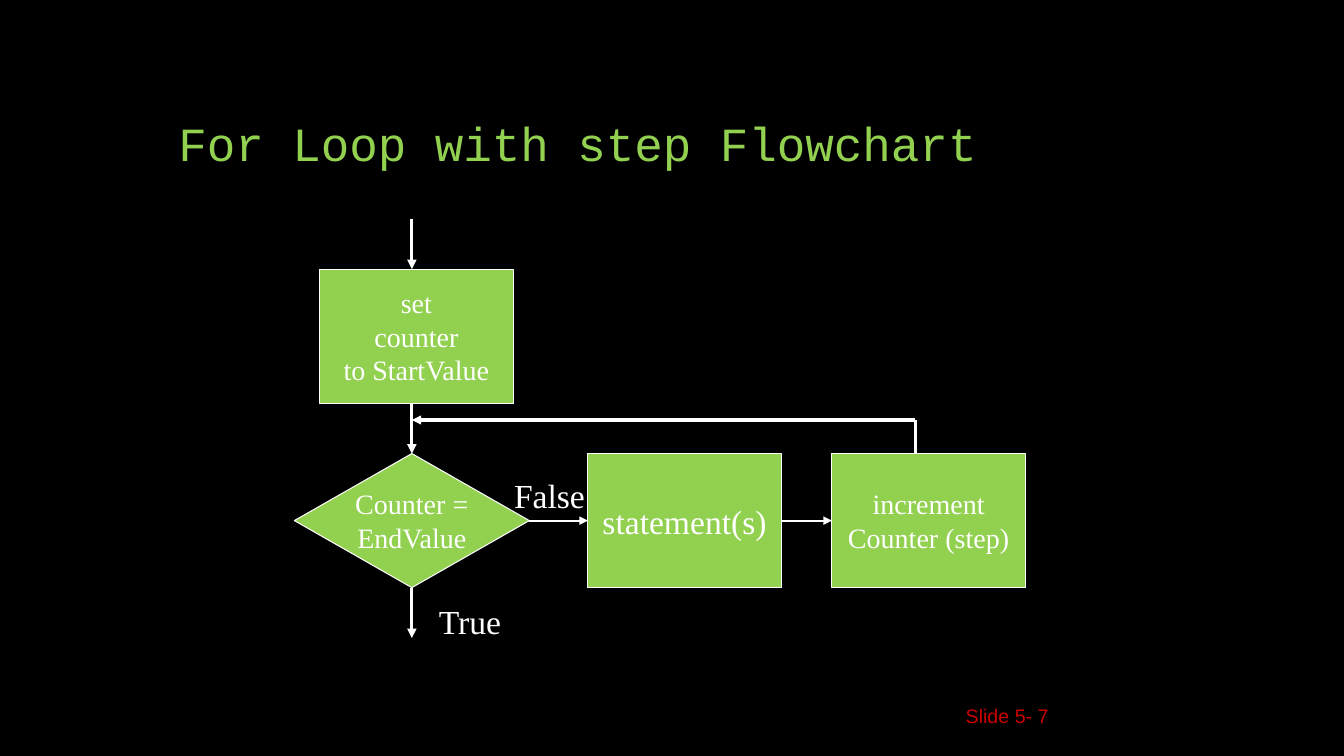
from dataclasses import dataclass

from lxml import etree
from pptx import Presentation
from pptx.dml.color import RGBColor
from pptx.enum.shapes import MSO_CONNECTOR, MSO_SHAPE
from pptx.enum.text import MSO_ANCHOR, MSO_AUTO_SIZE, PP_ALIGN
from pptx.oxml.ns import qn
from pptx.util import Inches, Pt

STRAIGHT = MSO_CONNECTOR.STRAIGHT
PROCESS = MSO_SHAPE.FLOWCHART_PROCESS
DECISION = MSO_SHAPE.FLOWCHART_DECISION
LEFT, CENTER, RIGHT = PP_ALIGN.LEFT, PP_ALIGN.CENTER, PP_ALIGN.RIGHT
TOP, MIDDLE, BOTTOM = MSO_ANCHOR.TOP, MSO_ANCHOR.MIDDLE, MSO_ANCHOR.BOTTOM
GROW = MSO_AUTO_SIZE.SHAPE_TO_FIT_TEXT


@dataclass(frozen=True)
class Theme:
    """Colours, fonts and type sizes of the slide."""
    background: RGBColor = RGBColor(0x00, 0x00, 0x00)
    green: RGBColor = RGBColor(0x92, 0xD0, 0x50)
    white: RGBColor = RGBColor(0xFF, 0xFF, 0xFF)
    red: RGBColor = RGBColor(0xCC, 0x00, 0x00)
    title_font: str = "Courier New"
    chart_font: str = "Times New Roman"
    footer_font: str = "Arial"
    title_size: int = 34
    label_size: int = 24
    step_size: int = 20
    footer_size: int = 14
    outline: float = 0.75
    thin: float = 1.5
    thick: float = 2.25


THEME = Theme()


def write(shape, lines, font, size, color, align=LEFT, anchor=TOP, wrap=False):
    """Fill a shape with one paragraph per line of text."""
    frame = shape.text_frame
    frame.word_wrap = wrap
    frame.vertical_anchor = anchor
    frame.text = "\n".join(lines)
    for paragraph in frame.paragraphs:
        paragraph.alignment = align
        paragraph.font.name = font
        paragraph.font.size = Pt(size)
        paragraph.font.color.rgb = color


def add_text(slide, box, text, font, size, color, **layout):
    """Add a text box at the given box and return it."""
    label = slide.shapes.add_textbox(*map(Inches, box))
    write(label, [text], font, size, color, **layout)
    return label


def add_step(slide, kind, box, lines, size=THEME.step_size):
    """Add a green flowchart step with centred text."""
    step = slide.shapes.add_shape(kind, *map(Inches, box))
    step.shadow.inherit = False
    step.fill.solid()
    step.fill.fore_color.rgb = THEME.green
    step.line.color.rgb = THEME.white
    step.line.width = Pt(THEME.outline)
    write(step, lines, THEME.chart_font, size, THEME.white, CENTER, MIDDLE)


def add_flow(slide, start, end, width=THEME.thick, arrow=True):
    """Add a white flow line, with an arrowhead at its end if wanted."""
    flow = slide.shapes.add_connector(STRAIGHT, *map(Inches, (*start, *end)))
    flow.line.color.rgb = THEME.white
    flow.line.width = Pt(width)
    if arrow:
        etree.SubElement(flow.line._get_or_add_ln(), qn("a:tailEnd"), type="triangle")
    etree.SubElement(flow._element.spPr, qn("a:effectLst"))


def add_title(slide, box):
    """Add the slide title at the bottom of its box."""
    title = add_text(slide, box, "For Loop with step Flowchart", THEME.title_font,
                     THEME.title_size, THEME.green, anchor=BOTTOM, wrap=True)
    title.text_frame.paragraphs[0].line_spacing = 0.9


def add_footer(slide, box):
    """Add the slide number."""
    add_text(slide, box, "Slide 5- 7", THEME.footer_font, THEME.footer_size,
             THEME.red, align=RIGHT, anchor=MIDDLE)


def add_flowchart(slide, box):
    """Draw the loop flowchart inside the given box."""
    left, top, width, height = box
    step_w, step_h, gap = 1.92, 1.33, 0.5
    test_w = 2.33
    axis = left + test_w / 2
    right, bottom = left + width, top + height
    start_top = top + gap
    start_bottom = start_top + step_h
    row_top = start_bottom + gap
    row_bottom = row_top + step_h
    row_middle = row_top + step_h / 2
    return_y = start_bottom + gap / 3
    increment_x = right - step_w
    body_x = increment_x - gap - step_w
    return_x = right - 1.09

    add_step(slide, PROCESS, (left + 0.25, start_top, step_w, step_h),
             ["set", "counter", "to StartValue"])
    add_step(slide, DECISION, (left, row_top, test_w, step_h),
             ["Counter =", "EndValue"])
    add_step(slide, PROCESS, (body_x, row_top, step_w, step_h),
             ["statement(s)"], THEME.label_size)
    add_step(slide, PROCESS, (increment_x, row_top, step_w, step_h),
             ["increment", "Counter (step)"])

    for y, end_y in ((top, start_top), (start_bottom, row_top), (row_bottom, bottom)):
        add_flow(slide, (axis, y), (axis, end_y))
    for x, end_x in ((left + test_w, body_x), (body_x + step_w, increment_x)):
        add_flow(slide, (x, row_middle), (end_x, row_middle), THEME.thin)
    add_flow(slide, (return_x, return_y), (return_x, row_top), arrow=False)
    add_flow(slide, (return_x, return_y), (axis, return_y))

    for text, label_box in (
        ("False", (left + test_w - 0.25, row_top + 0.16, 0.92, 0.5)),
        ("True", (axis + 0.17, row_bottom + 0.08, 0.83, 0.5)),
    ):
        branch = add_text(slide, label_box, text, THEME.chart_font,
                          THEME.label_size, THEME.white)
        branch.text_frame.auto_size = GROW


def main():
    """Build the slide and save it."""
    deck = Presentation()
    deck.slide_width, deck.slide_height = Inches(13.33), Inches(7.5)
    slide = deck.slides.add_slide(deck.slide_layouts[6])
    slide.background.fill.solid()
    slide.background.fill.fore_color.rgb = THEME.background
    add_footer(slide, (9.42, 6.96, 1.08, 0.28))
    add_title(slide, (1.67, 0.5, 10, 1.25))
    add_flowchart(slide, (2.92, 2.17, 7.25, 4.16))
    deck.save("out.pptx")


if __name__ == "__main__":
    main()
